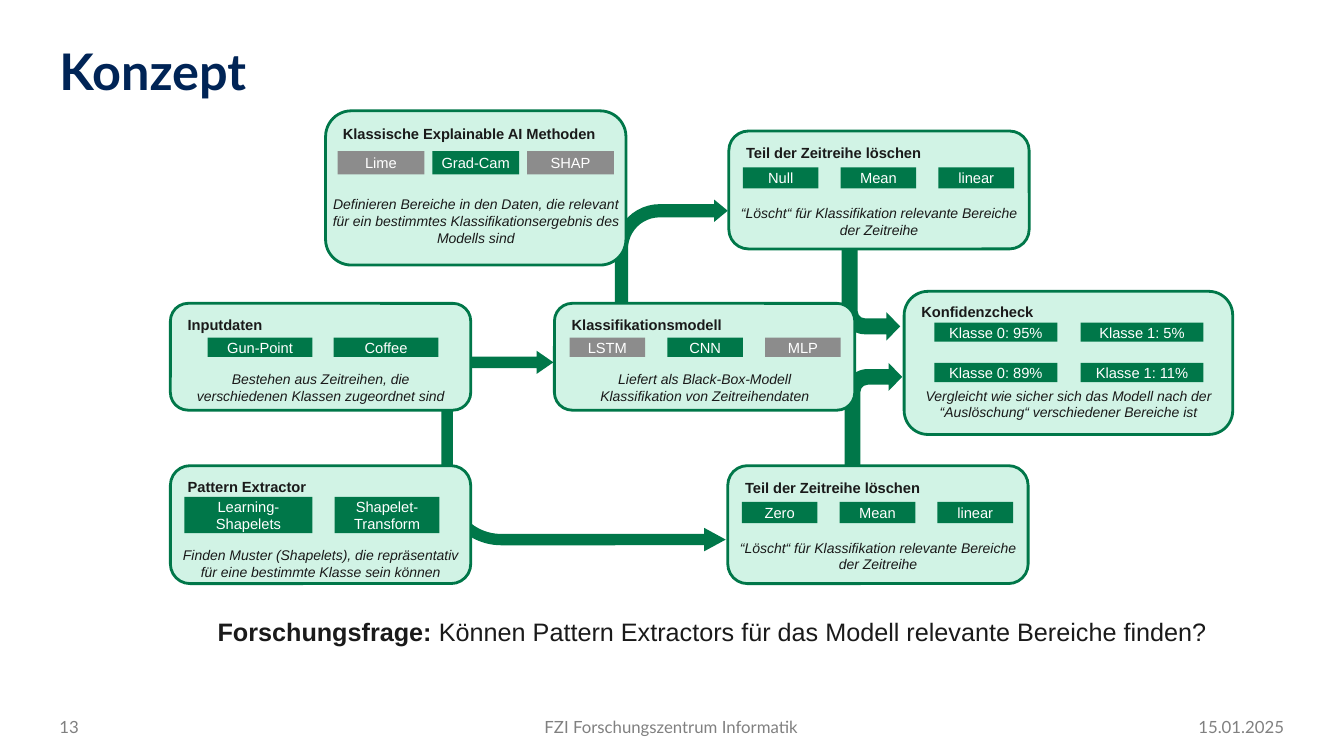
from pptx import Presentation
from pptx.dml.color import RGBColor
from pptx.enum.shapes import MSO_SHAPE as SHAPE
from pptx.enum.text import MSO_ANCHOR as ANCHOR, PP_ALIGN as ALIGN
from pptx.util import Inches, Pt

COLS, ROWS = 40, 22.5
GREEN, MINT, GREY = "007749", "D1F3E5", "8C8C8C"
INK, NAVY, FOOT, WHITE = "1A1A1A", "002456", "808080", "FFFFFF"
MUTED = {"Lime", "SHAP", "LSTM", "MLP"}

prs = Presentation()
prs.slide_width, prs.slide_height = Inches(13.33), Inches(7.5)


def color(hex_code):
    """Turn a hex string into a colour."""
    return RGBColor.from_string(hex_code)


def place(x, y, w, h):
    """Turn grid columns and rows into slide lengths."""
    col, row = prs.slide_width / COLS, prs.slide_height / ROWS
    return round(x * col), round(y * row), round(w * col), round(h * row)


def add_box(slide, kind, box, fill, line=None):
    """Add a flat preset shape."""
    sp = slide.shapes.add_shape(kind, *place(*box))
    sp.shadow.inherit = False
    sp.fill.solid()
    sp.fill.fore_color.rgb = color(fill)
    if line:
        sp.line.color.rgb = color(line)
        sp.line.width = Pt(2)
    else:
        sp.line.fill.background()
    return sp


def write(sp, lines, size, rgb, font="Arial", bold=None, italic=None,
          align=ALIGN.LEFT, anchor=ANCHOR.TOP, side=0.0, edge=0.0):
    """Write one paragraph per line with a shared style."""
    tf = sp.text_frame
    tf.word_wrap = True
    tf.vertical_anchor = anchor
    tf.margin_left = tf.margin_right = Inches(side)
    tf.margin_top = tf.margin_bottom = Inches(edge)
    for i, line in enumerate(lines):
        p = tf.add_paragraph() if i else tf.paragraphs[0]
        p.text = line
        p.alignment = align
        p.font.name, p.font.size = font, Pt(size)
        p.font.bold, p.font.italic = bold, italic
        p.font.color.rgb = color(rgb)
    return tf


def add_text(slide, box, lines, size, rgb, **style):
    """Add a text box on the grid."""
    return write(slide.shapes.add_textbox(*place(*box)), lines, size, rgb, **style)


def add_arrow(slide, kind, box, adjustments, flip=False):
    """Add a green block arrow, mirrored top to bottom if asked."""
    sp = add_box(slide, kind, box, GREEN)
    for i, value in enumerate(adjustments):
        sp.adjustments[i] = value
    if flip:
        sp._element.spPr.xfrm.set("flipV", "1")


def add_chips(slide, x, y, labels, widths, height, gap):
    """Lay out a row of labelled chips from the left."""
    for label, width in zip(labels, widths):
        sp = add_box(slide, SHAPE.RECTANGLE, (x, y, width, height),
                     GREY if label in MUTED else GREEN)
        write(sp, [label], 10.5, WHITE, align=ALIGN.CENTER,
              anchor=ANCHOR.MIDDLE, side=0.08)
        x += width + gap


def add_card(slide, box, title, rows, chips, note_top, note, title_top=0.21):
    """Add a rounded card with a heading, chip rows and a note."""
    x, y, w, h = box
    left, widths, height, gap = chips
    add_box(slide, SHAPE.ROUNDED_RECTANGLE, box, MINT, GREEN)
    add_text(slide, (x + 0.22, y + title_top, w - 0.22, 0.84), [title], 10.5, INK,
             bold=True, side=0.1, edge=0.05)
    for top, labels in rows:
        add_chips(slide, x + left, y + top, labels, widths, height, gap)
    add_text(slide, (x, y + note_top, w, 0.45 * len(note) + 0.42), note, 10, INK,
             italic=True, align=ALIGN.CENTER, edge=0.05)


def add_arrows(slide):
    """Add the flow arrows that run behind the cards."""
    steep = (0.273, 0.245, 0.237, 0.4)
    bent = SHAPE.BENT_ARROW
    add_arrow(slide, bent, (25.14, 10.8, 1.71, 3.98), steep)
    add_arrow(slide, bent, (25.05, 7.08, 1.74, 3.06), steep, flip=True)
    add_arrow(slide, bent, (13.14, 11.97, 8.46, 4.44), (0.076, 0.079, 0.145, 0.4), flip=True)
    add_arrow(slide, bent, (18.3, 5.94, 3.36, 3.33), (0.118, 0.1, 0.121, 0.4))
    add_arrow(slide, SHAPE.RIGHT_ARROW, (13.56, 10.44, 2.91, 0.69), (0.5, 0.723))


def add_cards(slide):
    """Add all the concept cards."""
    wide, low, mid = 8.94, 3.18, 3.51
    trio = [2.25] * 3
    add_card(slide, (16.5, 9.03, wide, low), "Klassifikationsmodell",
             [(1.02, ["LSTM", "CNN", "MLP"])], (0.45, trio, 0.57, 0.66), 1.86,
             ["Liefert als Black-Box-Modell", "Klassifikation von Zeitreihendaten"])
    add_card(slide, (5.07, 9.03, wide, low), "Inputdaten",
             [(1.02, ["Gun-Point", "Coffee"])], (1.11, [3.12] * 2, 0.57, 0.63), 1.86,
             ["Bestehen aus Zeitreihen, die", "verschiedenen Klassen zugeordnet sind"])
    add_card(slide, (5.07, 13.86, wide, mid), "Pattern Extractor",
             [(0.93, ["Learning-Shapelets", "Shapelet-Transform"])],
             (0.42, [3.81, 3.12], 1.08, 0.66), 2.25,
             ["Finden Muster (Shapelets), die repräsentativ",
              "für eine bestimmte Klasse sein können"])
    add_card(slide, (9.69, 3.3, wide, 4.59), "Klassische Explainable AI Methoden",
             [(1.2, ["Lime", "Grad-Cam", "SHAP"])], (0.36, [2.58] * 3, 0.69, 0.24), 2.37,
             ["Definieren Bereiche in den Daten, die relevant",
              "für ein bestimmtes Klassifikationsergebnis des", "Modells sind"], 0.27)
    add_card(slide, (26.91, 8.67, 9.78, 4.26), "Konfidenzcheck",
             [(0.93, ["Klasse 0: 95%", "Klasse 1: 5%"]),
              (2.13, ["Klasse 0: 89%", "Klasse 1: 11%"])],
             (0.9, [3.66] * 2, 0.57, 0.69), 2.7,
             ["Vergleicht wie sicher sich das Modell nach der "
              "“Auslöschung“ verschiedener Bereiche ist"])
    for x, y, first in ((21.66, 13.86, "Zero"), (21.69, 3.9, "Null")):
        add_card(slide, (x, y, wide, mid), "Teil der Zeitreihe löschen",
                 [(1.08, [first, "Mean", "linear"])], (0.42, trio, 0.63, 0.66), 2.04,
                 ["“Löscht“ für Klassifikation relevante Bereiche", "der Zeitreihe"], 0.24)


def add_question(slide, box):
    """Add the research question with a bold lead-in."""
    tf = add_text(slide, box, ["Forschungsfrage: "], 18, INK, side=0.1, edge=0.05)
    p = tf.paragraphs[0]
    p.runs[0].font.bold = True
    p.add_run().text = "Können Pattern Extractors für das Modell relevante Bereiche finden?"


def add_footer(slide, y, h):
    """Add the page number, institute and date."""
    for x, w, text, align in ((1.77, 2.94, "13", ALIGN.LEFT),
                              (12.9, 14.16, "FZI Forschungszentrum Informatik", ALIGN.CENTER),
                              (33.51, 4.71, "15.01.2025", ALIGN.RIGHT)):
        add_text(slide, (x, y, w, h), [text], 12, FOOT, font="Lato",
                 align=align, anchor=ANCHOR.BOTTOM)


def main():
    """Build the concept slide and save it."""
    slide = prs.slides.add_slide(prs.slide_layouts[6])
    add_arrows(slide)
    add_footer(slide, 20.76, 1.17)
    add_question(slide, (6.18, 18.21, 30.51, 1.2))
    title = add_text(slide, (1.77, 1.41, 33.57, 1.77), ["Konzept"], 36, NAVY,
                     font="Lato", bold=True)
    title.paragraphs[0].line_spacing = 0.9
    add_cards(slide)
    prs.save("out.pptx")


if __name__ == "__main__":
    main()
